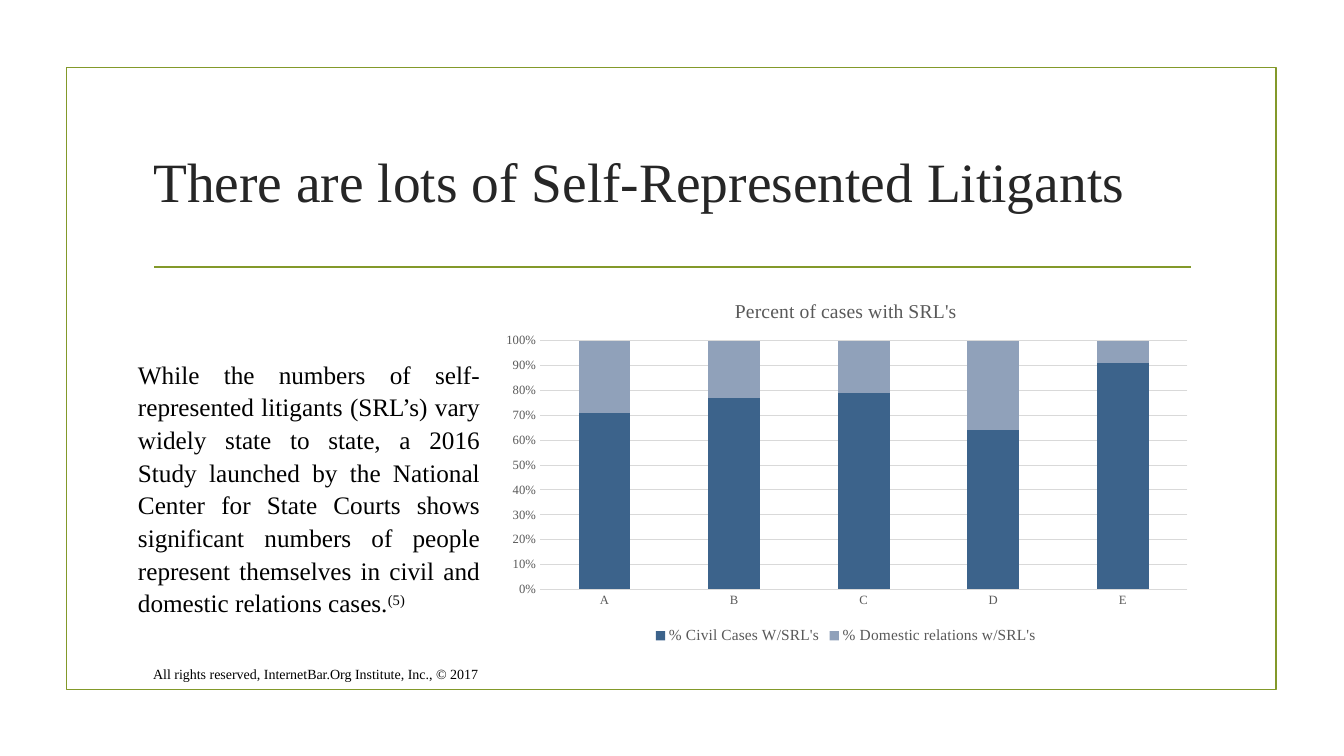
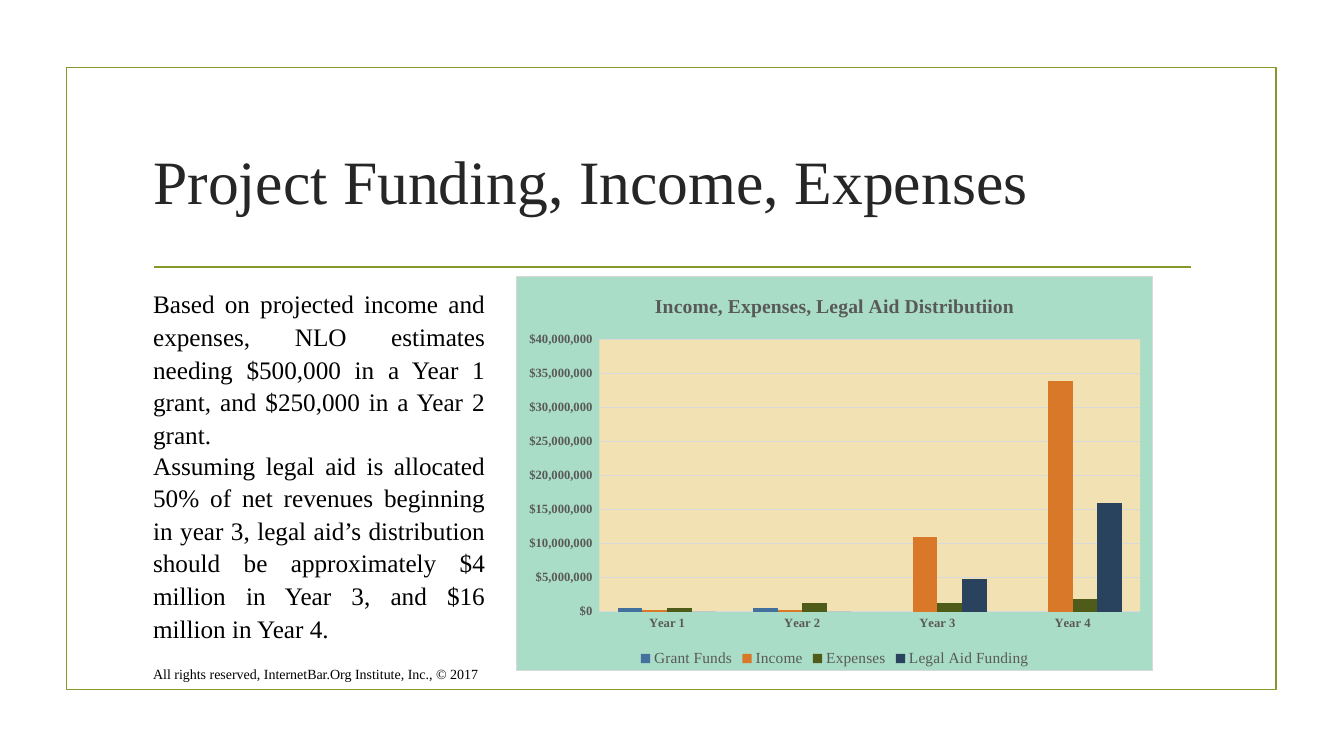
"""Build two slides on self-represented litigants and project funding."""
from lxml import etree
from pptx import Presentation
from pptx.chart.data import CategoryChartData
from pptx.dml.color import RGBColor
from pptx.enum.chart import XL_CHART_TYPE, XL_LEGEND_POSITION, XL_TICK_MARK
from pptx.enum.shapes import MSO_CONNECTOR, MSO_SHAPE
from pptx.enum.text import MSO_ANCHOR, PP_ALIGN
from pptx.oxml import parse_xml
from pptx.oxml.ns import nsdecls, qn
from pptx.util import Inches, Pt

STACKED = XL_CHART_TYPE.COLUMN_STACKED_100
CLUSTERED = XL_CHART_TYPE.COLUMN_CLUSTERED
BOTTOM = XL_LEGEND_POSITION.BOTTOM
NO_TICK = XL_TICK_MARK.NONE
LEFT, JUSTIFY = PP_ALIGN.LEFT, PP_ALIGN.JUSTIFY
TOP, MIDDLE = MSO_ANCHOR.TOP, MSO_ANCHOR.MIDDLE

FONT = "Times New Roman"
OLIVE = RGBColor(0x83, 0x99, 0x2A)
INK = RGBColor(0x26, 0x26, 0x26)
BLACK = RGBColor(0x00, 0x00, 0x00)
GRAY = RGBColor(0x59, 0x59, 0x59)
PALE = RGBColor(0xD9, 0xD9, 0xD9)
STEEL = RGBColor(0x3C, 0x63, 0x8B)
MIST = RGBColor(0x90, 0xA1, 0xBA)
BLUE = RGBColor(0x44, 0x70, 0x9D)
ORANGE = RGBColor(0xD9, 0x78, 0x28)
MOSS = RGBColor(0x4F, 0x5C, 0x19)
NAVY = RGBColor(0x29, 0x43, 0x5E)
MINT = RGBColor(0xA9, 0xDD, 0xC7)
SAND = RGBColor(0xF2, 0xE1, 0xB3)

FOOTER = "All rights reserved, InternetBar.Org Institute, Inc., © 2017"

SLIDES = [
    dict(
        title="There are lots of Self-Represented Litigants", title_size=39.6,
        notes=[((1.27, 3.49, 3.59, 2.52),
                "While the numbers of self-represented litigants (SRL’s) vary widely "
                "state to state, a 2016 Study launched by the National Center for State "
                "Courts shows significant numbers of people represent themselves in "
                "civil and domestic relations cases.", "(5)")],
        kind=STACKED, at=(4.86, 2.8, 7.06, 3.63), plot=(0.07, 0.16, 0.91, 0.68),
        heading="Percent of cases with SRL's", bold=False, overlap=100,
        fmt="0%", fill=None, plot_fill=None, border=None,
        cats=["A", "B", "C", "D", "E"],
        series=[("% Civil Cases W/SRL's", (71, 77, 79, 64, 91), STEEL),
                ("% Domestic relations w/SRL's", (29, 23, 21, 36, 9), MIST)],
    ),
    dict(
        title="Project Funding, Income, Expenses", title_size=44,
        notes=[((1.42, 2.79, 3.49, 1.31),
                "Based on projected income and expenses, NLO estimates needing $500,000 "
                "in a Year 1 grant, and $250,000 in a Year 2 grant.", ""),
               ((1.42, 4.39, 3.49, 1.92),
                "Assuming legal aid is allocated 50% of net revenues beginning in year 3, "
                "legal aid’s distribution should be approximately $4 million in Year 3, "
                "and $16 million in Year 4.", "")],
        kind=CLUSTERED, at=(5.12, 2.74, 6.32, 3.92), plot=(0.13, 0.16, 0.85, 0.69),
        heading="Income, Expenses, Legal Aid Distributiion", bold=True, overlap=0,
        fmt='"$"#,##0_);[Red]\\("$"#,##0\\)', fill=MINT, plot_fill=SAND, border=PALE,
        cats=["Year 1", "Year 2", "Year 3", "Year 4"],
        series=[("Grant Funds", (500000, 500000, None, None), BLUE),
                ("Income", (200000, 200000, 11000000, 34000000), ORANGE),
                ("Expenses", (500000, 1200000, 1200000, 1800000), MOSS),
                ("Legal Aid Funding", (0, 0, 4800000, 16000000), NAVY)],
    ),
]


def write(tf, text, size, color, bold=False, align=None, spacing=None, sup=""):
    """Write one paragraph, with an optional superscript at its end."""
    p = tf.paragraphs[0]
    p.alignment = align
    p.line_spacing = spacing
    for part in filter(None, (text, sup)):
        r = p.add_run()
        r.text = part
        r.font.name, r.font.size, r.font.bold = FONT, Pt(size), bold
        r.font.color.rgb = color
        if part == sup:
            r._r.get_or_add_rPr().set("baseline", "30000")


def area_format(fill, border):
    """Return the fill and outline element of a chart area."""
    paint = ['<a:noFill/>' if c is None else
             f'<a:solidFill><a:srgbClr val="{c}"/></a:solidFill>' for c in (fill, border)]
    return parse_xml(f'<c:spPr {nsdecls("c", "a")}>{paint[0]}'
                     f'<a:ln w="9525">{paint[1]}</a:ln></c:spPr>')


prs = Presentation()
prs.slide_width, prs.slide_height = Inches(13.33), Inches(7.5)

for page in SLIDES:
    s = prs.slides.add_slide(prs.slide_layouts[5])

    frame = s.shapes.add_shape(MSO_SHAPE.RECTANGLE, Inches(0.66), Inches(0.67),
                               Inches(12), Inches(6.17))
    frame.shadow.inherit = False
    frame.fill.background()
    rule = s.shapes.add_connector(MSO_CONNECTOR.STRAIGHT, Inches(1.53), Inches(2.65),
                                  Inches(11.81), Inches(2.65))
    etree.SubElement(rule._element.spPr, qn("a:effectLst"))
    for sp in (frame, rule):
        sp.line.color.rgb = OLIVE
        sp.line.width = Pt(1.25)

    title = s.shapes.title
    title.left, title.top = Inches(1.42), Inches(1.07)
    title.width, title.height = Inches(10.5), Inches(1.43)
    title.text_frame.vertical_anchor = MIDDLE
    write(title.text_frame, page["title"], page["title_size"], INK, align=LEFT)

    texts = [(at, text, sup, 18, JUSTIFY, 1.08, TOP) for at, text, sup in page["notes"]]
    texts.append(((1.42, 6.53, 7.99, 0.31), FOOTER, "", 10, LEFT, None, MIDDLE))
    for at, text, sup, size, align, spacing, anchor in texts:
        tf = s.shapes.add_textbox(*map(Inches, at)).text_frame
        tf.word_wrap = True
        tf.vertical_anchor = anchor
        write(tf, text, size, BLACK, align=align, spacing=spacing, sup=sup)

    data = CategoryChartData()
    data.categories = page["cats"]
    for name, values, color in page["series"]:
        data.add_series(name, values)
    chart = s.shapes.add_chart(page["kind"], *map(Inches, page["at"]), data).chart
    chart.font.name, chart.font.size = FONT, Pt(10)
    chart.has_title = True
    write(chart.chart_title.text_frame, page["heading"], 14, GRAY, bold=page["bold"])

    chart.has_legend = True
    chart.legend.position = BOTTOM
    chart.legend.include_in_layout = False
    fonts = [(chart.legend.font, 11, False)]
    for axis in (chart.category_axis, chart.value_axis):
        axis.major_tick_mark = axis.minor_tick_mark = NO_TICK
        fonts.append((axis.tick_labels.font, 9, page["bold"]))
    for font, size, bold in fonts:
        font.name, font.size, font.bold = FONT, Pt(size), bold
        font.color.rgb = GRAY

    value_axis = chart.value_axis
    value_axis.format.line.fill.background()
    value_axis.tick_labels.number_format = page["fmt"]
    value_axis.tick_labels.number_format_is_linked = False
    value_axis.has_major_gridlines = True
    for line in (chart.category_axis.format.line, value_axis.major_gridlines.format.line):
        line.color.rgb = PALE
        line.width = Pt(0.75)

    plot = chart.plots[0]
    plot.vary_by_categories = False
    plot.gap_width, plot.overlap = 150, page["overlap"]
    for series, (name, values, color) in zip(plot.series, page["series"]):
        series.format.fill.solid()
        series.format.fill.fore_color.rgb = color

    c_chart = chart.element.find(qn("c:chart"))
    c_chart.addnext(area_format(page["fill"], page["border"]))
    plot_area = c_chart.find(qn("c:plotArea"))
    for old in plot_area.findall(qn("c:layout")):
        plot_area.remove(old)
    x, y, w, h = page["plot"]
    plot_area.insert(0, parse_xml(
        f'<c:layout {nsdecls("c")}><c:manualLayout><c:layoutTarget val="inner"/>'
        f'<c:xMode val="edge"/><c:yMode val="edge"/><c:x val="{x}"/><c:y val="{y}"/>'
        f'<c:w val="{w}"/><c:h val="{h}"/></c:manualLayout></c:layout>'))
    plot_area.append(area_format(page["plot_fill"], None))

prs.save("out.pptx")
